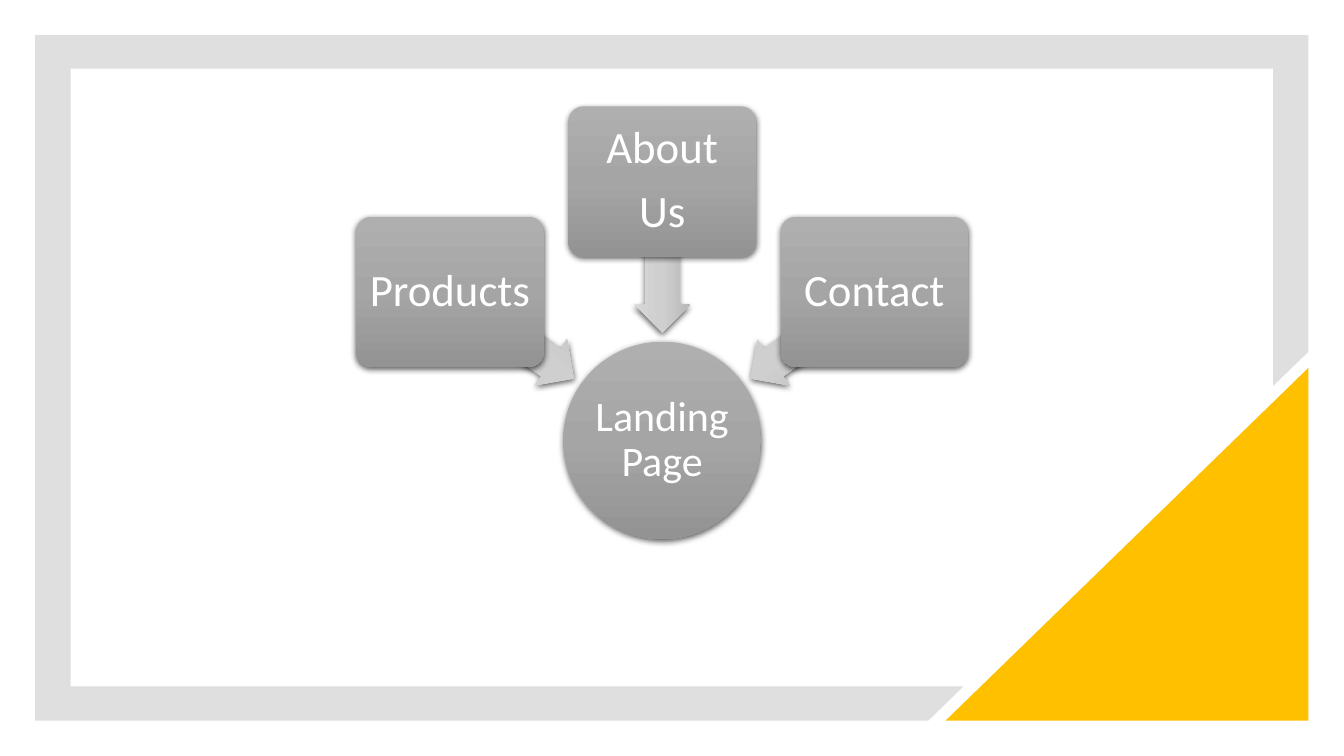
import math

import pptx
import pptx.util
import pptx.oxml
import pptx.oxml.ns
import pptx.dml.color
import pptx.enum.shapes
import pptx.enum.text

Pt = pptx.util.Pt
SHAPE = pptx.enum.shapes.MSO_SHAPE

hub = {"lines": ["Landing Page"], "size": 30, "inset": 1.44}
pages = [
    {"lines": ["Products"], "angle": 215},
    {"lines": ["About", "Us"], "angle": 270},
    {"lines": ["Contact"], "angle": 325},
]
page_size, page_inset = 32, 5
font_name = "Calibri"
box_gradient = ["AFAFAF", "A5A5A5", "939393"]
arrow_gradient = ["D6D6D6", "CFCFCF", "B8B8B8"]

hub_x, hub_y, hub_diameter = 473, 314.6, 141
page_radius, page_width, page_height = 185, 134, 107.3
arrow_radius, arrow_length, arrow_height = 131, 108, 40.3

frame_outline = [
    (25.2, 25.2), (934.6, 25.2), (934.6, 251.3), (909.4, 275.8),
    (909.4, 49), (50.4, 49), (50.4, 490.3), (688.3, 490.3),
    (663.1, 514.8), (25.2, 514.8),
]
corner_box = (675.4, 262.8, 259.2, 252)

deck = pptx.Presentation()
deck.slide_width, deck.slide_height = Pt(960), Pt(540)
slide = deck.slides.add_slide(deck.slide_layouts[6])


def color(hex_string):
    return pptx.dml.color.RGBColor.from_string(hex_string)


def paint(shape, hex_string):
    shape.shadow.inherit = False
    shape.fill.solid()
    shape.fill.fore_color.rgb = color(hex_string)
    shape.line.fill.background()


def shade(shape, gradient):
    paint(shape, gradient[0])
    namespace = pptx.oxml.ns.nsdecls("a")
    stops = "".join(
        f'<a:gs pos="{i * 50000}"><a:srgbClr val="{tone}"/></a:gs>'
        for i, tone in enumerate(gradient)
    )
    properties = shape.element.spPr
    solid = properties.find(pptx.oxml.ns.qn("a:solidFill"))
    properties.replace(solid, pptx.oxml.parse_xml(
        f'<a:gradFill {namespace} rotWithShape="1"><a:gsLst>{stops}</a:gsLst>'
        '<a:lin ang="5400000" scaled="0"/></a:gradFill>'
    ))
    effects = properties.find(pptx.oxml.ns.qn("a:effectLst"))
    effects.append(pptx.oxml.parse_xml(
        f'<a:outerShdw {namespace} blurRad="{Pt(4.5)}" dist="{Pt(1.5)}" '
        'dir="5400000" algn="ctr" rotWithShape="0"><a:srgbClr val="000000">'
        '<a:alpha val="63000"/></a:srgbClr></a:outerShdw>'
    ))


def add_centered(kind, x, y, width, height, gradient):
    shape = slide.shapes.add_shape(
        kind, Pt(x - width / 2), Pt(y - height / 2), Pt(width), Pt(height))
    shade(shape, gradient)
    return shape


def around_hub(angle, radius):
    turn = math.radians(angle)
    return hub_x + radius * math.cos(turn), hub_y + radius * math.sin(turn)


def write(shape, lines, size, inset):
    frame = shape.text_frame
    frame.word_wrap = True
    frame.vertical_anchor = pptx.enum.text.MSO_ANCHOR.MIDDLE
    frame.margin_left = frame.margin_right = Pt(inset)
    frame.margin_top = frame.margin_bottom = Pt(inset)
    for i, line in enumerate(lines):
        paragraph = frame.paragraphs[0] if i == 0 else frame.add_paragraph()
        paragraph.alignment = pptx.enum.text.PP_ALIGN.CENTER
        paragraph.line_spacing = 0.9
        paragraph.space_after = Pt(size * 0.35)
        run = paragraph.add_run()
        run.text = line
        run.font.name = font_name
        run.font.size = Pt(size)
        run.font.color.rgb = color("FFFFFF")


outline = [(Pt(x), Pt(y)) for x, y in frame_outline]
builder = slide.shapes.build_freeform(*outline[0])
builder.add_line_segments(outline[1:], close=True)
border = builder.convert_to_shape()
paint(border, "808080")
border_tone = border.element.spPr.find(
    pptx.oxml.ns.qn("a:solidFill")).find(pptx.oxml.ns.qn("a:srgbClr"))
border_tone.append(pptx.oxml.parse_xml(
    f'<a:alpha {pptx.oxml.ns.nsdecls("a")} val="25000"/>'))

corner = slide.shapes.add_shape(
    SHAPE.RIGHT_TRIANGLE, *[Pt(length) for length in corner_box])
paint(corner, "FFC000")
corner.element.spPr.xfrm.set("flipH", "1")

landing = add_centered(
    SHAPE.OVAL, hub_x, hub_y, hub_diameter, hub_diameter, box_gradient)
write(landing, hub["lines"], hub["size"], hub["inset"])

for page in pages:
    arrow = add_centered(
        SHAPE.LEFT_ARROW, *around_hub(page["angle"], arrow_radius),
        arrow_length, arrow_height, arrow_gradient)
    arrow.adjustments[0], arrow.adjustments[1] = 0.6, 0.5
    arrow.rotation = page["angle"]
    box = add_centered(
        SHAPE.ROUNDED_RECTANGLE, *around_hub(page["angle"], page_radius),
        page_width, page_height, box_gradient)
    box.adjustments[0] = 0.1
    write(box, page["lines"], page_size, page_inset)

deck.save("out.pptx")
